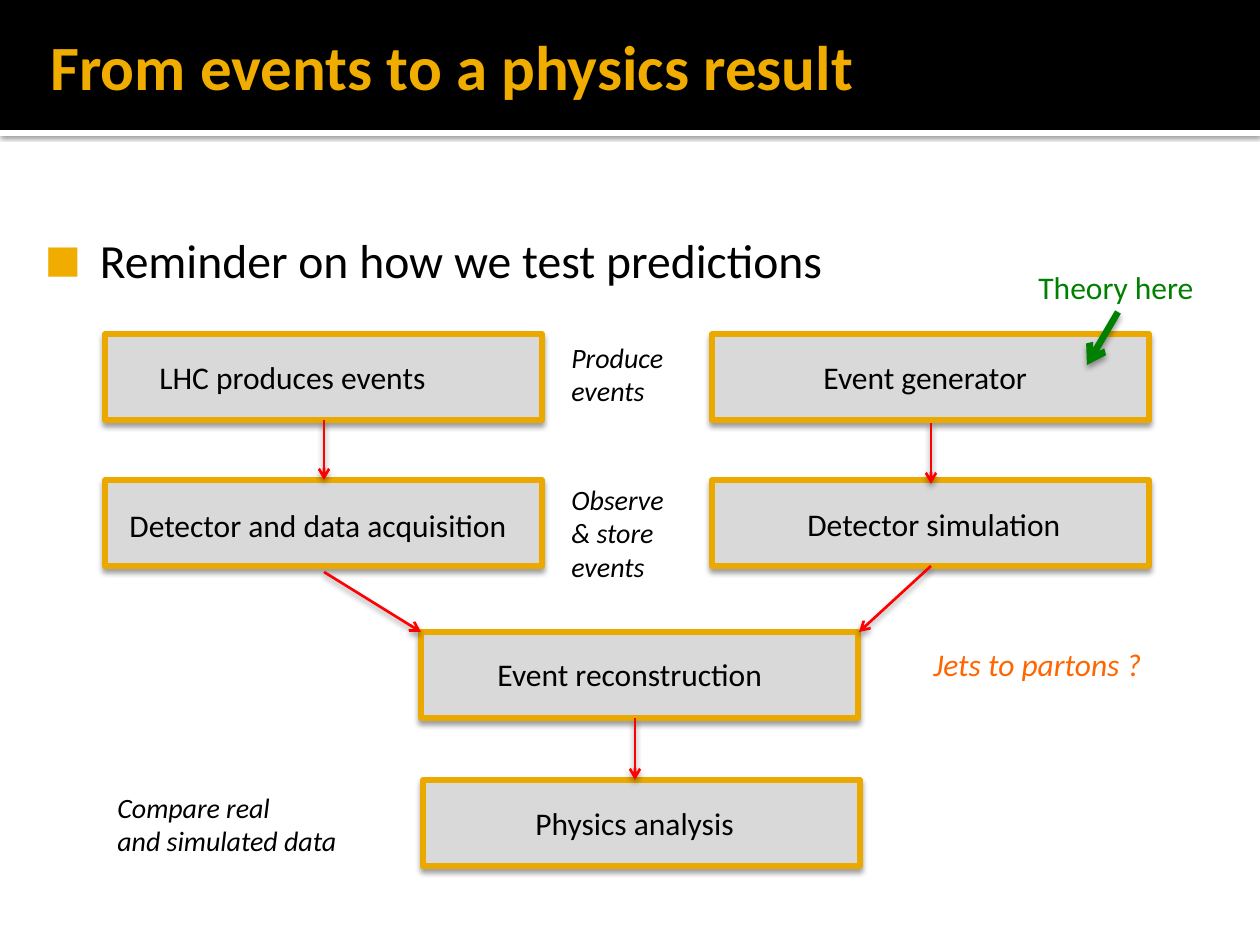
from lxml.etree import SubElement
from pptx import Presentation
from pptx.dml.color import RGBColor
from pptx.enum.shapes import MSO_CONNECTOR, MSO_SHAPE
from pptx.enum.text import MSO_ANCHOR
from pptx.oxml.ns import qn
from pptx.util import Emu, Pt

FONT, BLACK, GOLD, RED, GREEN = "Calibri", "000000", "F0AD00", "FF0000", "008000"
TITLE = "From events to a physics result"
BULLET = " Reminder on how we test predictions"
BOX_W, BOX_H, LABEL_H = 437, 86, 50
ROWS = [334, 480, 632, 780]
# box left, row, label, label left, label top, label width
BOXES = [
    (105, 0, "LHC produces events", 147, 352, 309),
    (105, 1, "Detector and data acquisition", 117, 500, 412),
    (421, 2, "Event reconstruction", 485, 649, 299),
    (423, 3, "Physics analysis", 523, 798, 233),
    (712, 0, "Event generator", 811, 352, 238),
    (712, 1, "Detector simulation", 795, 499, 286),
]
# left, top, width, height, lines, size, colour, italic
NOTES = [
    (559, 334, 125, 81, ["Produce", "events"], 16, BLACK, True),
    (559, 476, 125, 115, ["Observe", "& store", "events"], 16, BLACK, True),
    (105, 784, 252, 81, ["Compare real", "and simulated data"], 16, BLACK, True),
    (1026, 262, 184, LABEL_H, ["Theory here"], 18, GREEN, False),
    (921, 639, 238, LABEL_H, ["Jets to partons ?"], 18, "FF6600", True),
]
# start, end, colour, line width
ARROWS = [
    ((324, 420), (324, 480), RED, 1.5),
    ((931, 423), (931, 484), RED, 1.5),
    ((324, 572), (421, 632), RED, 1.5),
    ((931, 566), (859, 632), RED, 1.5),
    ((635, 718), (635, 780), RED, 1.5),
    ((1118, 312), (1087, 365), GREEN, 3.78),
]


def px(n):
    """Turn px into EMU."""
    return Emu(round(n * 914400 / 126))


def rgb(value):
    """Turn a hex string into a colour."""
    return RGBColor.from_string(value)


def add_shadow(sp, alpha, blur, dist):
    """Give a shape a black shadow that falls straight down."""
    effects = SubElement(sp._element.spPr, qn("a:effectLst"))
    shadow = SubElement(effects, qn("a:outerShdw"), blurRad=str(Pt(blur)),
                        dist=str(Pt(dist)), dir="5400000", rotWithShape="0")
    color = SubElement(shadow, qn("a:srgbClr"), val=BLACK)
    SubElement(color, qn("a:alpha"), val=str(alpha * 1000))


def add_rect(s, left, top, width, height, fill, line=None, shadow=None):
    """Add a filled rectangle."""
    sp = s.shapes.add_shape(MSO_SHAPE.RECTANGLE, px(left), px(top), px(width), px(height))
    sp.fill.solid()
    sp.fill.fore_color.rgb = rgb(fill)
    if line:
        sp.line.color.rgb = rgb(line)
        sp.line.width = Pt(3)
    else:
        sp.line.fill.background()
    if shadow:
        add_shadow(sp, *shadow)
    else:
        sp.shadow.inherit = False


def add_text(s, left, top, width, height, lines, size, color=BLACK,
             italic=False, bold=False, wrap=False):
    """Add a text box with one paragraph per line."""
    tf = s.shapes.add_textbox(px(left), px(top), px(width), px(height)).text_frame
    tf.word_wrap = wrap
    for i, line in enumerate(lines):
        p = tf.paragraphs[0] if i == 0 else tf.add_paragraph()
        r = p.add_run()
        r.text = line
        r.font.name, r.font.size = FONT, Pt(size)
        r.font.italic, r.font.bold = italic, bold
        r.font.color.rgb = rgb(color)
    return tf


def add_bullet(p):
    """Give a paragraph a gold square bullet."""
    pPr = p._p.get_or_add_pPr()
    pPr.set("marL", str(px(60)))
    pPr.set("indent", str(px(-44)))
    SubElement(SubElement(pPr, qn("a:buClr")), qn("a:srgbClr"), val=GOLD)
    SubElement(pPr, qn("a:buSzPct"), val="80000")
    SubElement(pPr, qn("a:buFont"), typeface=FONT)
    SubElement(pPr, qn("a:buChar"), char="■")


def add_arrow(s, start, end, color, width):
    """Add a shadowed line with an open arrowhead at its end."""
    cn = s.shapes.add_connector(MSO_CONNECTOR.STRAIGHT, *map(px, start + end))
    cn.line.color.rgb = rgb(color)
    cn.line.width = Pt(width)
    SubElement(cn.line._get_or_add_ln(), qn("a:tailEnd"), type="arrow")
    add_shadow(cn, 38, 3.5, 2)


def main():
    """Build the slide."""
    prs = Presentation()
    prs.slide_width, prs.slide_height = px(1260), px(945)
    s = prs.slides.add_slide(prs.slide_layouts[6])

    add_rect(s, 0, 130, 1260, 6, "FFFFFF", shadow=(60, 2.5, 0.8))
    add_rect(s, 0, 0, 1260, 130, BLACK)
    tf = add_text(s, 38, 0, 1194, 130, [TITLE], 36, GOLD, bold=True, wrap=True)
    tf.vertical_anchor = MSO_ANCHOR.MIDDLE
    tf = add_text(s, 21, 218, 1218, 69, [BULLET], 27.2, wrap=True)
    tf.margin_left, tf.margin_top = px(8), px(13)
    add_bullet(tf.paragraphs[0])

    for left, row, label, x, y, width in BOXES:
        add_rect(s, left, ROWS[row], BOX_W, BOX_H, "D9D9D9", "EBA900", (38, 3.1, 2))
        add_text(s, x, y, width, LABEL_H, [label], 18)
    for note in NOTES:
        add_text(s, *note)
    for arrow in ARROWS:
        add_arrow(s, *arrow)
    prs.save("out.pptx")


if __name__ == "__main__":
    main()
